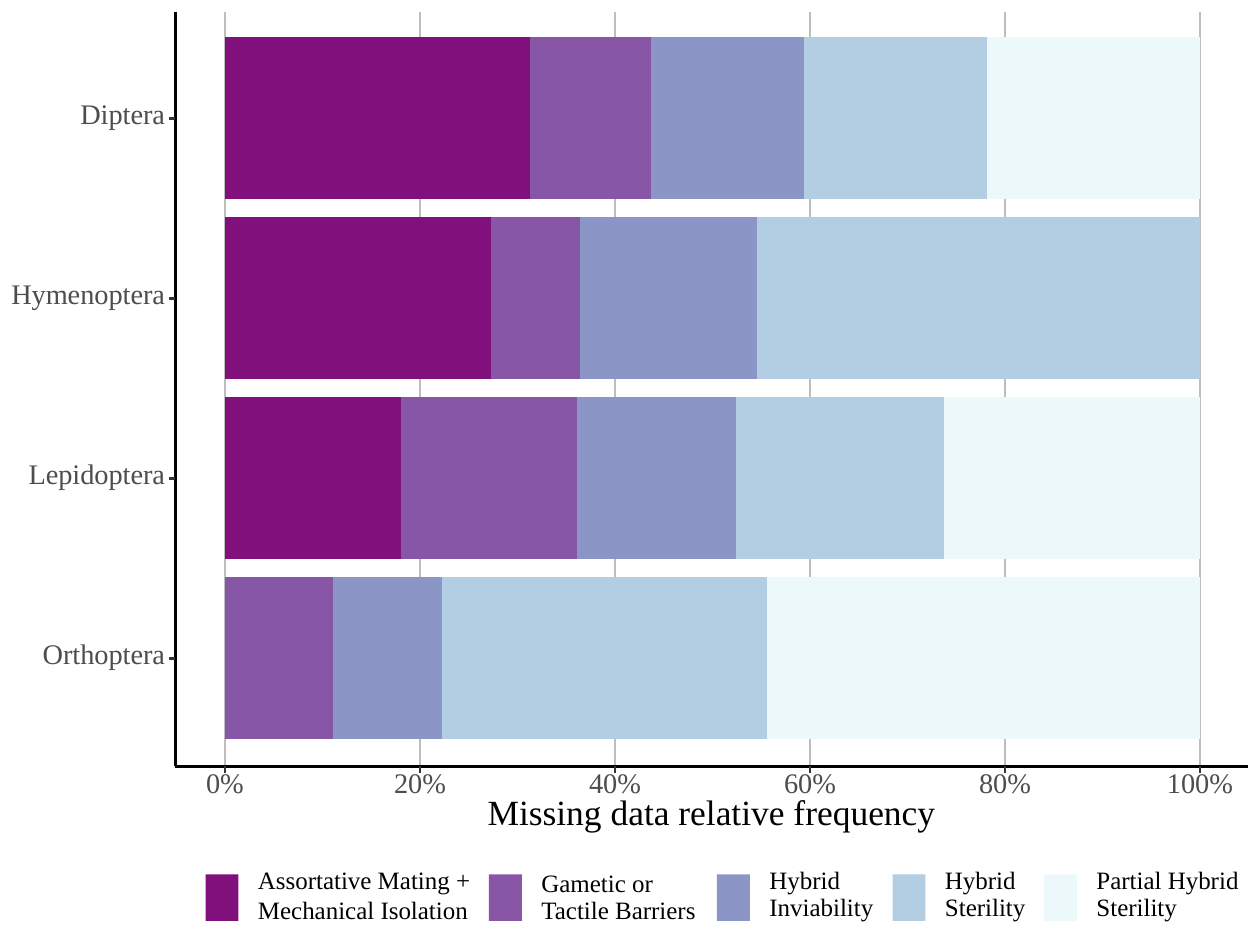
import pptx
import pptx.chart.data
import pptx.dml.color
import pptx.enum.chart
import pptx.enum.shapes
import pptx.enum.text
import pptx.oxml
import pptx.util
from dataclasses import dataclass
from pptx.util import Inches

ORDERS = ["Diptera", "Hymenoptera", "Lepidoptera", "Orthoptera"]

# Legend lines, colour, share (parts) per order, key left, text centre, gap between lines (points)
BARRIERS = [
    (("Assortative Mating +", "Mechanical Isolation"), "810F7C", (10, 3, 11, 0), 1.37, 5.98, 2.4),
    (("Gametic or", "Tactile Barriers"), "8856A7", (4, 1, 11, 1), 3.26, 5.99, 1),
    (("Hybrid", "Inviability"), "8C96C6", (5, 2, 10, 1), 4.78, 5.97, 1),
    (("Hybrid", "Sterility"), "B3CDE3", (6, 5, 13, 3), 5.95, 5.97, 1),
    (("Partial Hybrid", "Sterility"), "EDF8FB", (7, 0, 16, 4), 6.96, 5.97, 1),
]
PERCENT_TICKS = range(0, 101, 20)
AXIS_TITLE = "Missing data relative frequency"


@dataclass
class Theme:
    """Colours and type sizes of the slide."""
    font: str = "Times New Roman"
    label: str = "4D4D4D"
    ink: str = "000000"
    grid: str = "BEBEBE"
    tick: str = "333333"
    label_size: float = 13.6
    title_size: float = 17
    legend_size: float = 12
    line_width: float = 1.07


THEME = Theme()
AXIS_LEFT, AXIS_RIGHT, AXIS_TOP, AXIS_BOTTOM = 1.17, 8.32, 0.08, 5.11
BARS_LEFT, BARS_WIDTH = 1.5, 6.5
BARS_TOP, BAND = 0.19, 1.2
TICK = 0.04
ALIGN = pptx.enum.text.PP_ALIGN


def rgb(value):
    """Turn a hex string into a colour."""
    return pptx.dml.color.RGBColor.from_string(value)


def percent_x(percent):
    """Return the horizontal place of a percentage."""
    return BARS_LEFT + BARS_WIDTH * percent / 100


def add_line(slide, start, end, color):
    """Draw a straight line between two points without a shadow."""
    line = slide.shapes.add_connector(
        pptx.enum.shapes.MSO_CONNECTOR.STRAIGHT, *(Inches(v) for v in (*start, *end)))
    line.line.color.rgb = rgb(color)
    line.line.width = pptx.util.Pt(THEME.line_width)
    properties = line._element.spPr
    properties.append(properties.makeelement(pptx.oxml.ns.qn("a:effectLst"), {}))


def add_text(slide, lines, box, size, color, align, gap=0):
    """Write lines, middle-anchored, in a box without margins."""
    shape = slide.shapes.add_textbox(*(Inches(v) for v in box))
    frame = shape.text_frame
    frame.text = "\n".join(lines)
    frame.word_wrap = True
    frame.vertical_anchor = pptx.enum.text.MSO_ANCHOR.MIDDLE
    frame.margin_left = frame.margin_right = frame.margin_top = frame.margin_bottom = 0
    for index, paragraph in enumerate(frame.paragraphs):
        paragraph.alignment = align
        paragraph.line_spacing = pptx.util.Pt(size)
        paragraph.space_before = pptx.util.Pt(gap if index else 0)
        font = paragraph.runs[0].font
        font.name, font.size = THEME.font, pptx.util.Pt(size)
        font.color.rgb = rgb(color)


def add_bars(slide):
    """Add the bars, stacked to 100%, as a transparent chart filled by its plot."""
    data = pptx.chart.data.CategoryChartData(number_format="0")
    data.categories = ORDERS
    for lines, _, values, *_ in BARRIERS:
        data.add_series(" ".join(lines), values)
    chart = slide.shapes.add_chart(
        pptx.enum.chart.XL_CHART_TYPE.BAR_STACKED_100, Inches(BARS_LEFT), Inches(BARS_TOP),
        Inches(BARS_WIDTH), Inches(BAND * len(ORDERS)), data).chart
    chart.has_legend = chart.has_title = False
    chart.font.name, chart.font.size = THEME.font, pptx.util.Pt(THEME.label_size)
    chart.font.color.rgb = rgb(THEME.label)
    chart.category_axis.reverse_order = True
    chart.value_axis.has_major_gridlines = False
    chart.category_axis.visible = chart.value_axis.visible = False
    plot = chart.plots[0]
    plot.gap_width, plot.overlap, plot.vary_by_categories = 11, 100, False
    for series, (_, color, *_) in zip(plot.series, BARRIERS):
        series.format.fill.solid()
        series.format.fill.fore_color.rgb = rgb(color)
        series.format.line.fill.background()

    names = pptx.oxml.ns.nsdecls("c", "a")
    clear = f"<c:spPr {names}><a:noFill/><a:ln><a:noFill/></a:ln></c:spPr>"
    settings = '<c:layoutTarget val="inner"/><c:xMode val="edge"/><c:yMode val="edge"/>'
    settings += "".join(f'<c:{k} val="{v}"/>' for k, v in zip("xywh", (0, 0, 1, 1)))
    layout = f"<c:layout {names}><c:manualLayout>{settings}</c:manualLayout></c:layout>"
    chart_space = chart._chartSpace
    plot_area = chart_space.chart.plotArea
    for old in plot_area.findall(pptx.oxml.ns.qn("c:layout")):
        plot_area.remove(old)
    plot_area.insert(0, pptx.oxml.parse_xml(layout))
    plot_area.append(pptx.oxml.parse_xml(clear))
    chart_space.chart.addnext(pptx.oxml.parse_xml(clear))


def add_axes(slide):
    """Draw axis lines, ticks, labels and the axis title."""
    corner = (AXIS_LEFT, AXIS_BOTTOM)
    add_line(slide, corner, (AXIS_LEFT, AXIS_TOP), THEME.ink)
    add_line(slide, corner, (AXIS_RIGHT, AXIS_BOTTOM), THEME.ink)
    for index, order in enumerate(ORDERS):
        y = BARS_TOP + BAND * (index + 0.5)
        add_line(slide, (AXIS_LEFT - TICK, y), (AXIS_LEFT, y), THEME.tick)
        add_text(slide, [order], (0, y - 0.1, 1.1, 0.17),
                 THEME.label_size, THEME.label, ALIGN.RIGHT)
    for percent in PERCENT_TICKS:
        x = percent_x(percent)
        add_line(slide, (x, AXIS_BOTTOM + TICK), (x, AXIS_BOTTOM), THEME.tick)
        add_text(slide, [f"{percent}%"], (x - 0.3, 5.17, 0.6, 0.13),
                 THEME.label_size, THEME.label, ALIGN.CENTER)
    add_text(slide, [AXIS_TITLE], (AXIS_LEFT, 5.33, AXIS_RIGHT - AXIS_LEFT, 0.21),
             THEME.title_size, THEME.ink, ALIGN.CENTER)


def add_legend(slide):
    """Place a colour key and a two-line label for each barrier."""
    for lines, color, _, left, centre, gap in BARRIERS:
        key = slide.shapes.add_shape(
            pptx.enum.shapes.MSO_SHAPE.RECTANGLE,
            *(Inches(v) for v in (left, 5.83, 0.22, 0.31)))
        key.shadow.inherit = False
        key.fill.solid()
        key.fill.fore_color.rgb = rgb(color)
        key.line.fill.background()
        text_left = left + 0.35
        width = min(1.5, 8.4 - text_left)
        add_text(slide, lines, (text_left, centre - 0.18, width, 0.36),
                 THEME.legend_size, THEME.ink, ALIGN.LEFT, gap)


presentation = pptx.Presentation()
presentation.slide_width, presentation.slide_height = Inches(8.4), Inches(6.3)
slide = presentation.slides.add_slide(presentation.slide_layouts[6])
for percent in PERCENT_TICKS:
    x = percent_x(percent)
    add_line(slide, (x, AXIS_BOTTOM), (x, AXIS_TOP), THEME.grid)
add_bars(slide)
add_axes(slide)
add_legend(slide)
presentation.save("out.pptx")
